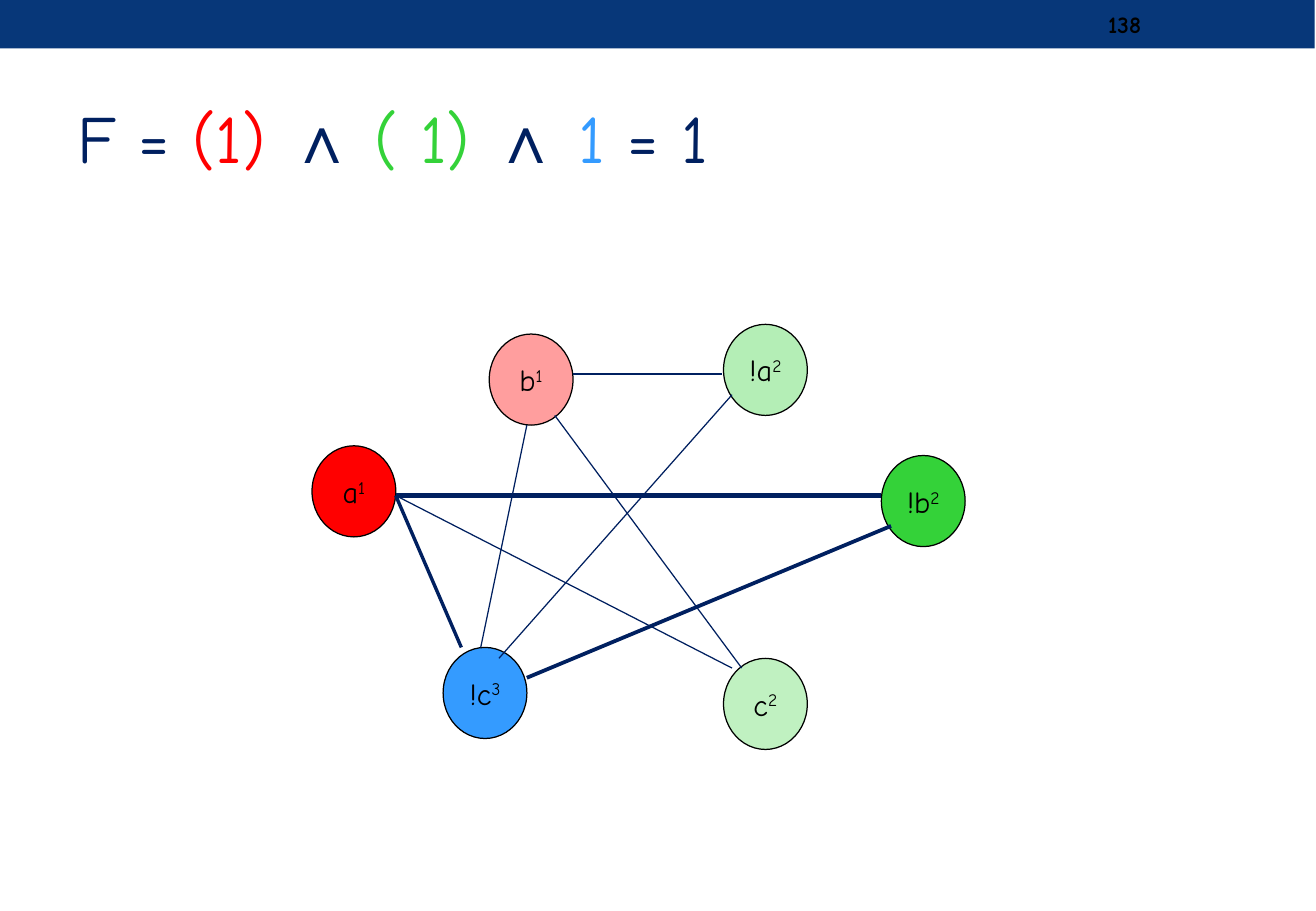
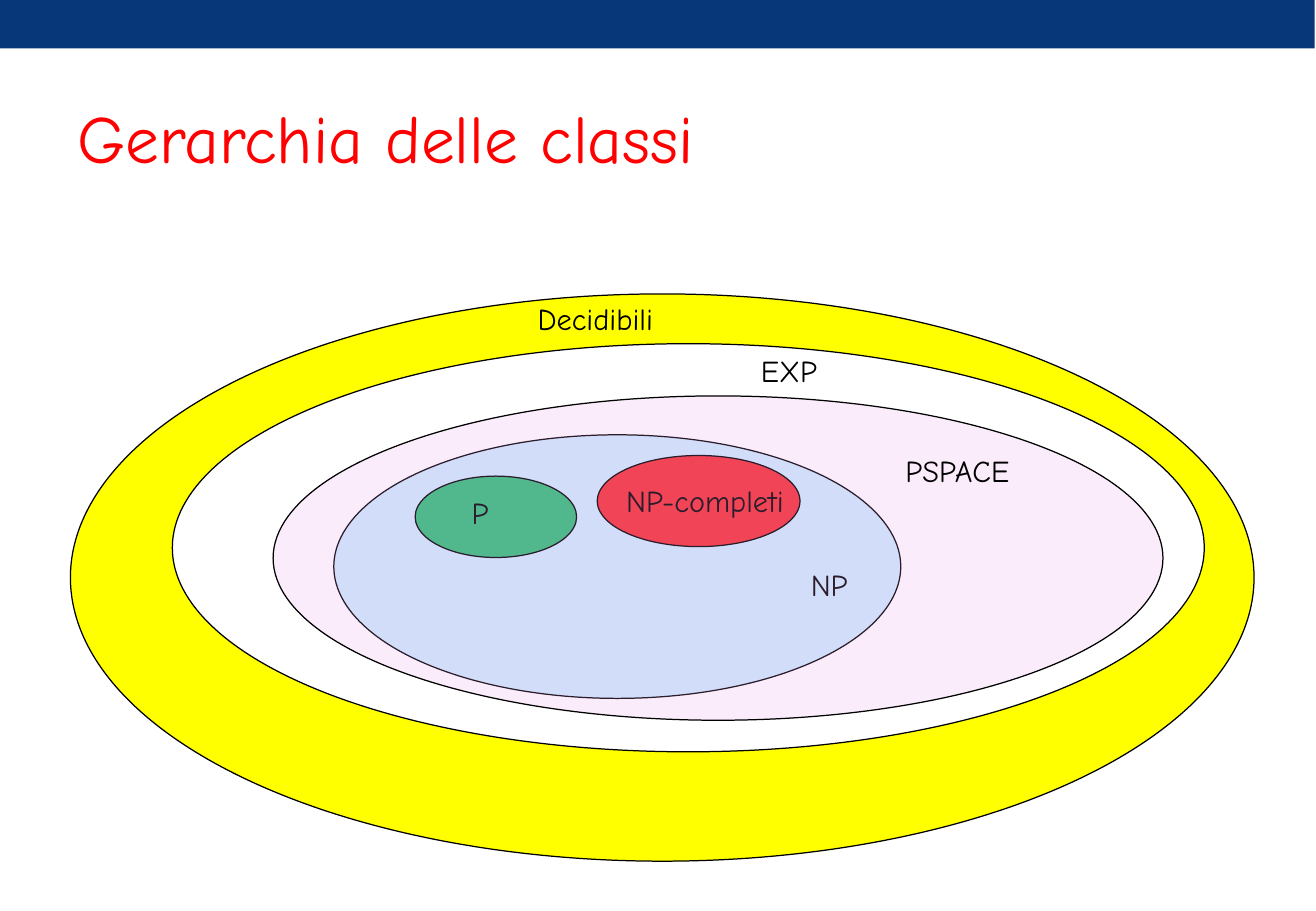
from pptx import Presentation
from pptx.dml.color import RGBColor
from pptx.enum.shapes import MSO_CONNECTOR, MSO_SHAPE
from pptx.enum.text import MSO_ANCHOR, PP_ALIGN
from pptx.oxml.ns import qn
from pptx.util import Pt
from lxml.etree import SubElement

PX = 9144
FONT = "Comic Neue"
COLORS = {
    "band": "073779", "navy": "002060", "black": "000000", "white": "FFFFFF",
    "red": "FF0000", "lime": "34D239", "sky": "349BFF", "yellow": "FFFF00",
    "cyan": "30B9F8", "green": "00B050", "pink": "EC9CEB",
}


def add_form(page, preset, bounds, fill, alpha=100, outline="black"):
    form = page.shapes.add_shape(preset, *[value * PX for value in bounds])
    form.shadow.inherit = False
    form.fill.solid()
    form.fill.fore_color.rgb = RGBColor.from_string(COLORS[fill])
    if alpha < 100:
        color = form.fill._xPr.find(qn("a:solidFill"))[0]
        SubElement(color, qn("a:alpha")).set("val", str(alpha * 1000))
    if outline:
        form.line.color.rgb = RGBColor.from_string(COLORS[outline])
        form.line.width = Pt(0.75)
    else:
        form.line.fill.background()
    return form


def write(box, runs, size=18, anchor=MSO_ANCHOR.TOP, align=PP_ALIGN.LEFT, wrap=True):
    frame = box.text_frame
    frame.word_wrap = wrap
    frame.vertical_anchor = anchor
    para = frame.paragraphs[0]
    para.alignment = align
    for text, color, font in runs:
        span = para.add_run()
        span.text = text
        span.font.size = Pt(size)
        span.font.name = font
        span.font.color.rgb = RGBColor.from_string(COLORS[color])
    return para


deck = Presentation()
deck.slide_width = 1084 * PX
deck.slide_height = 750 * PX

titles = [
    [("F = ", "navy", FONT), ("(1) ", "red", FONT), ("∧ ", "navy", "Arial"),
     ("( 1) ", "lime", FONT), ("∧ ", "navy", "Arial"), ("1 ", "sky", FONT),
     ("= 1", "navy", FONT)],
    [("Gerarchia delle classi", "red", FONT)],
]
pages = []
for title in titles:
    page = deck.slides.add_slide(deck.slide_layouts[6])
    add_form(page, MSO_SHAPE.RECTANGLE, (0, 0, 1083, 40), "band", outline=None)
    box = page.shapes.add_textbox(54 * PX, 58 * PX, 975 * PX, 108 * PX)
    write(box, title, 40, MSO_ANCHOR.MIDDLE)
    pages.append(page)
graph_page, classes_page = pages

number = graph_page.shapes.add_textbox(903 * PX, 2 * PX, 126 * PX, 36 * PX)
para = write(number, [("138", "black", FONT)], 14, MSO_ANCHOR.MIDDLE)
para.runs[0].font.bold = True

nodes = [
    ("b", "1", 403, 275, "red", 38),
    ("a", "1", 257, 367, "red", 100),
    ("!a", "2", 596, 267, "lime", 37),
    ("!b", "2", 726, 375, "lime", 100),
    ("c", "2", 596, 542, "lime", 31),
    ("!c", "3", 365, 533, "sky", 100),
]
for literal, clause, left, top, fill, alpha in nodes:
    node = add_form(graph_page, MSO_SHAPE.OVAL, (left, top, 69, 75), fill, alpha)
    runs = [(literal, "black", FONT), (clause, "black", FONT)]
    para = write(node, runs, 18, MSO_ANCHOR.MIDDLE, PP_ALIGN.CENTER, False)
    para.runs[1]._r.get_or_add_rPr().set("baseline", "30000")

edges = [
    (326, 408, 726, 408, 2.75),
    (326, 408, 380, 533, 2),
    (326, 408, 603, 550, 0.75),
    (434, 350, 396, 533, 0.75),
    (457, 342, 611, 550, 0.75),
    (472, 308, 595, 308, 0.75),
    (411, 542, 603, 325, 0.75),
    (434, 558, 734, 433, 2.25),
]
for *ends, width in edges:
    edge = graph_page.shapes.add_connector(
        MSO_CONNECTOR.STRAIGHT, *[value * PX for value in ends])
    edge.line.color.rgb = RGBColor.from_string(COLORS["navy"])
    edge.line.width = Pt(width)
    SubElement(edge._element.spPr, qn("a:effectLst"))

classes = [
    ((58, 242, 975, 467), "yellow", 100, None),
    ((142, 283, 850, 336), "white", 100, None),
    ((275, 358, 467, 217), "cyan", 25, None),
    ((342, 392, 133, 67), "green", 77, "P"),
    ((433, 242, 158, 40), None, 0, "Decidibili"),
    ((617, 285, 200, 40), None, 0, "EXP"),
    ((658, 461, 175, 40), None, 0, "NP"),
    ((492, 375, 167, 75), "red", 79, None),
    ((506, 392, 150, 40), None, 0, "NP-completi"),
    ((225, 326, 733, 267), "pink", 19, None),
    ((736, 367, 200, 40), None, 0, "PSPACE"),
]
for bounds, fill, alpha, label in classes:
    if fill:
        box = add_form(classes_page, MSO_SHAPE.OVAL, bounds, fill, alpha)
        box.text_frame.margin_left = 27 * PX
    else:
        box = classes_page.shapes.add_textbox(*[value * PX for value in bounds])
    if label:
        write(box, [(label, "black", FONT)])

deck.save("out.pptx")
